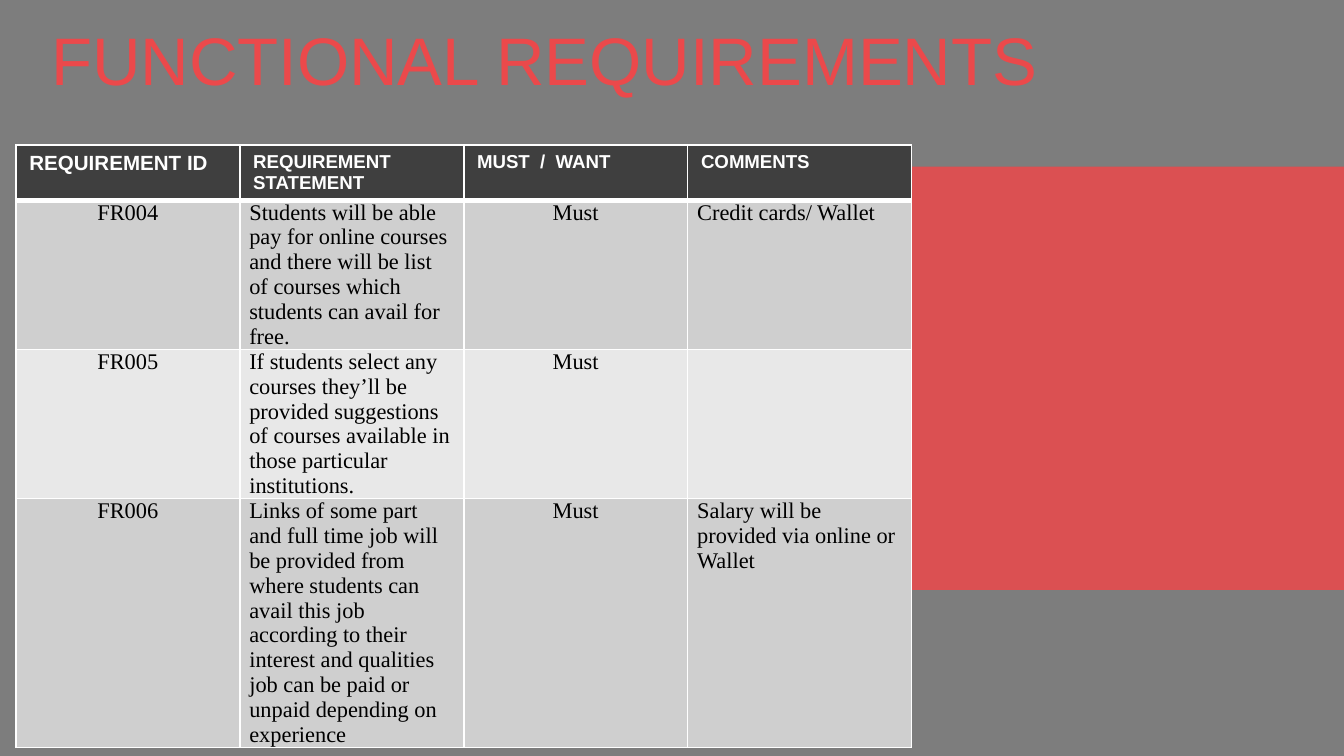
from lxml.etree import SubElement
from pptx import Presentation
from pptx.dml.color import RGBColor
from pptx.enum.shapes import MSO_SHAPE
from pptx.enum.text import MSO_ANCHOR, PP_ALIGN
from pptx.oxml.ns import qn
from pptx.util import Cm, Pt

WHITE = RGBColor(0xFF, 0xFF, 0xFF)
BLACK = RGBColor(0x00, 0x00, 0x00)
VEIL = RGBColor(0x40, 0x40, 0x40)
RED = RGBColor(0xEB, 0x49, 0x4B)
HEADER = RGBColor(0x3F, 0x3F, 0x3F)
BANDS = [RGBColor(0xE8, 0xE8, 0xE8), RGBColor(0xCF, 0xCF, 0xCF)]

ROWS = [
    ["REQUIREMENT ID", "REQUIREMENT STATEMENT", "MUST  /  WANT", "COMMENTS"],
    ["FR004", "Students will be able pay for online courses and there will be "
     "list of courses which students can avail for free.",
     "Must", "Credit cards/ Wallet"],
    ["FR005", "If students select any courses they’ll be provided suggestions "
     "of courses available in those particular institutions.", "Must", ""],
    ["FR006", "Links of some part and full time job will be provided from where "
     "students can avail this job according to their interest and qualities "
     "job can be paid or unpaid depending on experience",
     "Must", "Salary will be provided via online or Wallet"],
]


def set_format(target, values):
    for name, value in values.items():
        setattr(target, name, value)


def add_border(cell, side, width):
    line = SubElement(cell._tc.get_or_add_tcPr(), qn(f"a:ln{side}"), w=str(Pt(width)))
    fill = SubElement(line, qn("a:solidFill"))
    SubElement(fill, qn("a:srgbClr"), val=str(WHITE))


presentation = Presentation()
presentation.slide_width = Cm(25.4)
presentation.slide_height = Cm(14.29)
slide = presentation.slides.add_slide(presentation.slide_layouts[5])

title = slide.shapes.title
set_format(title, {"left": Cm(0.71), "top": Cm(0.3), "width": Cm(23.8), "height": Cm(1.6)})
title.text_frame.text = "FUNCTIONAL REQUIREMENTS"
set_format(title.text_frame, {"word_wrap": True, "vertical_anchor": MSO_ANCHOR.MIDDLE})
paragraph = title.text_frame.paragraphs[0]
paragraph.alignment = PP_ALIGN.LEFT
set_format(paragraph.runs[0].font, {"size": Pt(36), "name": "Arial"})
paragraph.runs[0].font.color.rgb = RED

panels = [
    (0, 0, 25.4, 14.29, VEIL, 68),
    (13.49, 3.15, 11.91, 8, RED, 86),
]
for left, top, width, height, color, opacity in panels:
    panel = slide.shapes.add_shape(
        MSO_SHAPE.RECTANGLE, Cm(left), Cm(top), Cm(width), Cm(height))
    panel.shadow.inherit = False
    panel.line.fill.background()
    panel.fill.solid()
    panel.fill.fore_color.rgb = color
    color_element = panel.element.spPr.find(qn("a:solidFill"))[0]
    SubElement(color_element, qn("a:alpha"), val=str(opacity * 1000))
    title.element.addprevious(panel.element)

table_frame = slide.shapes.add_table(
    len(ROWS), len(ROWS[0]), Cm(0.3), Cm(2.74), Cm(16.93), Cm(11.25))
table = table_frame.table
for row in table.rows:
    row.height = Cm(1.04)
table_frame.height = Cm(11.25)

for row_index, texts in enumerate(ROWS):
    is_header = row_index == 0
    for column_index, text in enumerate(texts):
        cell = table.cell(row_index, column_index)
        add_border(cell, "L", 1)
        add_border(cell, "R", 1)
        add_border(cell, "T", 3 if row_index == 1 else 1)
        add_border(cell, "B", 3 if is_header else 1)
        cell.fill.solid()
        cell.fill.fore_color.rgb = HEADER if is_header else BANDS[row_index % 2]
        cell.text = text
        paragraph = cell.text_frame.paragraphs[0]
        if is_header:
            size = 11 if column_index == 0 else 10
            font = {"name": "Arial", "size": Pt(size), "bold": True}
        else:
            font = {"name": "Times New Roman", "size": Pt(12), "bold": False}
            set_format(cell, {"margin_left": Cm(0.18), "margin_right": Cm(0.18),
                              "margin_top": 0, "margin_bottom": 0})
            paragraph.space_after = Pt(6)
            if column_index in (0, 2):
                paragraph.alignment = PP_ALIGN.CENTER
        for run in paragraph.runs:
            set_format(run.font, font)
            run.font.color.rgb = WHITE if is_header else BLACK

for row_index in range(1, len(ROWS)):
    for column_index in range(len(ROWS[0])):
        cell = table.cell(row_index, column_index)
        cell.fill.fore_color.rgb = BANDS[row_index % 2]

presentation.save("out.pptx")
